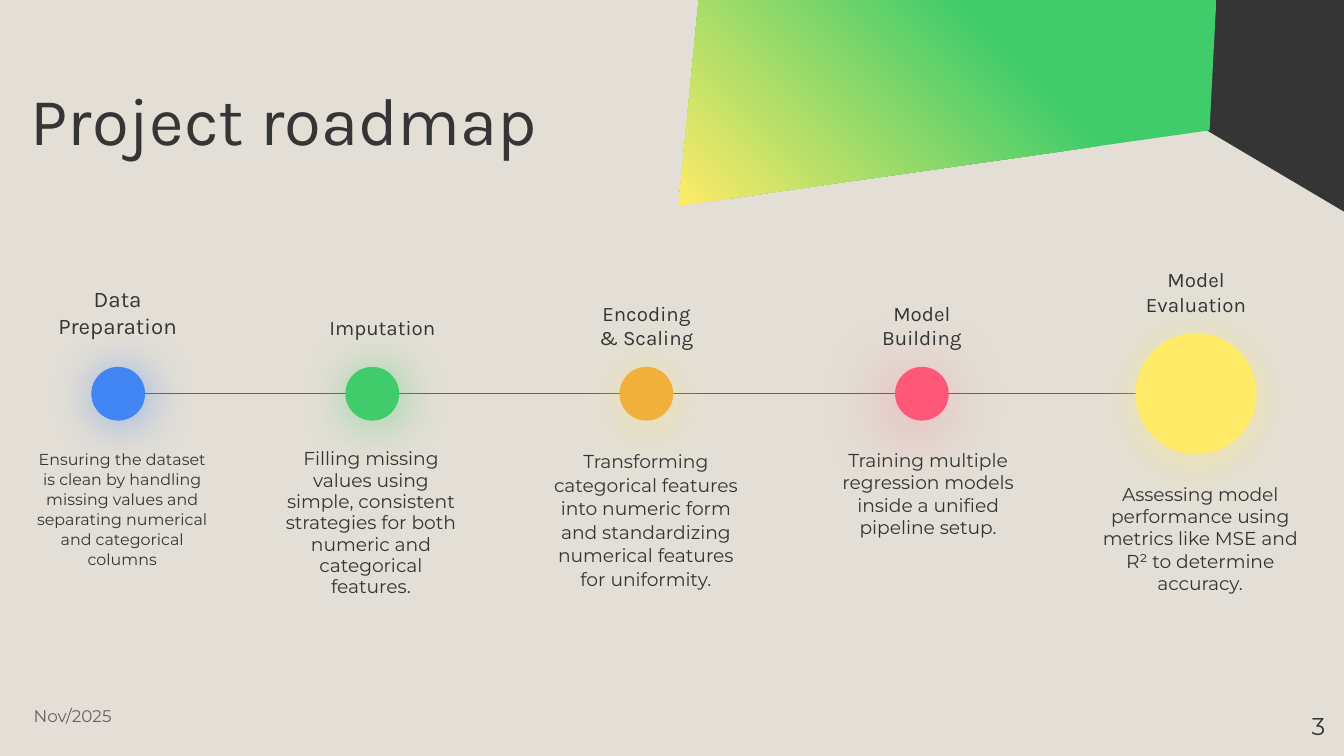
from lxml import etree
from pptx import Presentation, util as u
from pptx.dml.color import RGBColor
from pptx.enum import shapes as s, text as t
from pptx.oxml import ns

PX = 9144  # 100 px to the inch
DARK, GREY, GREEN, YELLOW = "353535", "69615E", "41CC6B", "FFEB67"


def paint(color_format, color):
    color_format.rgb = RGBColor.from_string(color)


def write(words, box, size, font="Montserrat", color=DARK, align=t.PP_ALIGN.CENTER,
          anchor=t.MSO_ANCHOR.TOP, inset=10, spacing=1.0, around=0):
    frame = slide.shapes.add_textbox(*(v * PX for v in box)).text_frame
    frame.word_wrap = True
    frame.vertical_anchor = anchor
    frame.margin_left = frame.margin_right = inset * PX
    frame.margin_top = frame.margin_bottom = inset * PX
    paragraph = frame.paragraphs[0]
    paragraph.text = words
    paragraph.alignment = align
    paragraph.line_spacing = spacing
    paragraph.space_before = paragraph.space_after = u.Pt(around)
    paragraph.font.size = u.Pt(size)
    paragraph.font.name = font
    paint(paragraph.font.color, color)


prs = Presentation()
prs.slide_width = 1000 * PX
prs.slide_height = prs.slide_width * 9 // 16
slide = prs.slides.add_slide(prs.slide_layouts[6])
slide.background.fill.solid()
paint(slide.background.fill.fore_color, "E3DFD6")

# Corner decoration: dark panel, then gradient panel
panels = []
for start, *corners in (
    [(898, 97), (1001, 158), (1001, -1), (905, -1)],
    [(520, -1), (505, 153), (900, 97), (905, 0)],
):
    outline = slide.shapes.build_freeform(*start, scale=PX)
    outline.add_line_segments(corners, close=True)
    panel = outline.convert_to_shape()
    panel.shadow.inherit = False
    panel.line.fill.background()
    panels.append(panel)
dark_panel, gradient_panel = panels
dark_panel.fill.solid()
paint(dark_panel.fill.fore_color, DARK)
gradient_panel.fill.gradient()
gradient_panel.fill.gradient_angle = 225
for stop, position, color in zip(gradient_panel.fill.gradient_stops, (0.35, 1), (GREEN, YELLOW)):
    stop.position = position
    paint(stop.color, color)

# Timeline
AXIS = 293
timeline = slide.shapes.add_connector(s.MSO_CONNECTOR.STRAIGHT, 75 * PX, AXIS * PX, 915 * PX, AXIS * PX)
timeline.line.width = u.Pt(0.75)
paint(timeline.line.color, GREY)
etree.SubElement(timeline._element.spPr, ns.qn("a:effectLst"))

# Glow: colour, alpha %, blur pt, distance pt, direction in degrees
yellow_glow = (YELLOW, 50, 27, 3, 90)
# Milestones: centre, diameter, colour, glow,
#   heading, its box, size, line spacing, space around,
#   description, its box, size, line spacing
milestones = [
    (88, 40, "4285F4", ("4285F4", 56, 25.9, 2.2, 45),
     "Data Preparation", (18, 187, 139, 90), 12, 1, 12,
     "Ensuring the dataset is clean by handling missing values and separating numerical "
     "and categorical columns", (16, 324, 150, 116), 8.5, 1.05),
    (277, 40, GREEN, (GREEN, 56, 25.9, 2.2, 45),
     "Imputation", (229, 222, 111, 40), 11, 1.15, 12,
     "Filling missing values using simple, consistent strategies for both numeric and "
     "categorical features.", (201, 324, 150, 116), 10, 0.95),
    (481, 40, "F0B03B", yellow_glow,
     "Encoding & Scaling", (436, 222, 90, 40), 11, 1, 0,
     "Transforming categorical features into numeric form and standardizing numerical "
     "features for uniformity.", (395, 324, 171, 116), 10, 1.05),
    (686, 40, "FF5777", ("FF5777", 50, 38.2, 6, 130),
     "Model Building", (641, 222, 90, 40), 11, 1, 0,
     "Training multiple regression models inside a unified pipeline setup.",
     (609, 324, 163, 116), 10, 1),
    (890, 90, YELLOW, yellow_glow,
     "Model Evaluation", (840, 197, 100, 40), 11, 1, 0,
     "Assessing model performance using metrics like MSE and R² to determine accuracy.",
     (803, 349, 180, 157), 10, 1),
]
for (center, diameter, color, glow, heading, heading_box, heading_size, heading_spacing, around,
     description, description_box, description_size, description_spacing) in milestones:
    dot = slide.shapes.add_shape(
        s.MSO_SHAPE.OVAL, (center - diameter // 2) * PX, (AXIS - diameter // 2) * PX,
        diameter * PX, diameter * PX)
    dot.fill.solid()
    paint(dot.fill.fore_color, color)
    dot.line.fill.background()
    dot.shadow.inherit = False
    glow_color, alpha, blur, distance, direction = glow
    effects = dot._element.spPr.find(ns.qn("a:effectLst"))
    outer = etree.SubElement(
        effects, ns.qn("a:outerShdw"), blurRad=str(u.Pt(blur)), dist=str(u.Pt(distance)),
        dir=str(direction * 60000), algn="bl", rotWithShape="0")
    tint = etree.SubElement(outer, ns.qn("a:srgbClr"), val=glow_color)
    etree.SubElement(tint, ns.qn("a:alpha"), val=str(alpha * 1000))

    write(heading, heading_box, heading_size, "Karla", anchor=t.MSO_ANCHOR.MIDDLE,
          spacing=heading_spacing, around=around)
    write(description, description_box, description_size, spacing=description_spacing)

# Title, date and page number
write("Project roadmap", (13, 55, 637, 75), 36, "Karla", align=t.PP_ALIGN.LEFT, spacing=0.9)
write("Nov/2025", (25, 522, 212, 21), 9, color=GREY, align=t.PP_ALIGN.LEFT,
      anchor=t.MSO_ANCHOR.MIDDLE, inset=0)
write("3", (936, 519, 60, 43), 13, align=t.PP_ALIGN.RIGHT)

prs.save("out.pptx")
